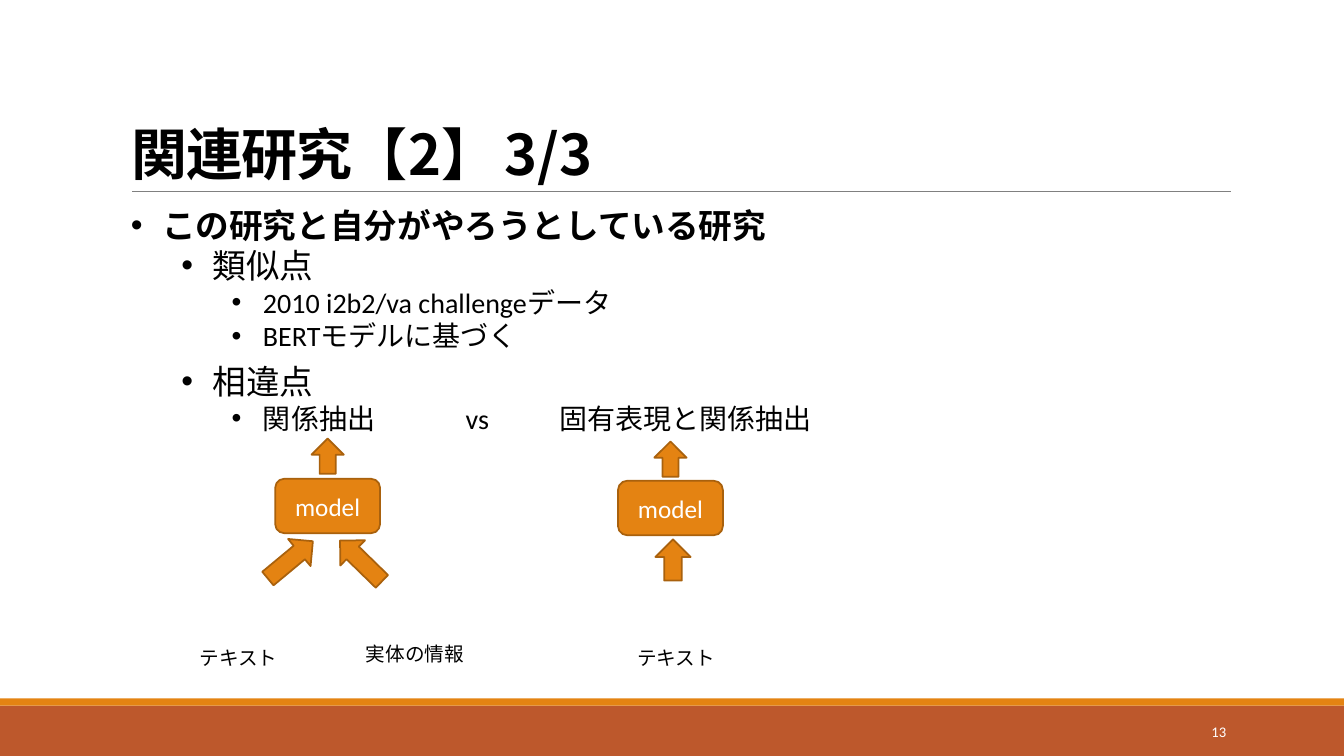
import dataclasses

import lxml.etree
import pptx
import pptx.dml.color
import pptx.enum.shapes
import pptx.enum.text
import pptx.oxml.ns
import pptx.util

PX = 9144  # 100 px to the inch
LATIN = "Calibri"
JAPANESE = "Noto Sans CJK JP"
BLACK, WHITE = "000000", "FFFFFF"
ORANGE, DARK_ORANGE, RUST, GRAY = "E48312", "A9610D", "BD582C", "808080"
KIND = pptx.enum.shapes.MSO_SHAPE
ALIGN = pptx.enum.text.PP_ALIGN
ANCHOR = pptx.enum.text.MSO_ANCHOR
FIT = pptx.enum.text.MSO_AUTO_SIZE


@dataclasses.dataclass
class Bullet:
    text: str
    level: int
    size: int
    bold: bool = False
    after: int = 0
    tabs: tuple[int, ...] = ()


@dataclasses.dataclass
class Node:
    kind: int
    left: int
    top: int
    width: int
    height: int
    turn: float = 0
    text: str = ""


@dataclasses.dataclass
class Label:
    text: str
    left: int
    top: int
    width: int
    height: int
    size: float = 14
    font: str = JAPANESE
    color: str = BLACK
    align: int = ALIGN.LEFT
    anchor: int = ANCHOR.TOP


BULLETS = [
    Bullet("この研究と自分がやろうとしている研究", 0, 24, bold=True),
    Bullet("類似点", 1, 24),
    Bullet("2010 i2b2/va challengeデータ", 2, 20),
    Bullet("BERTモデルに基づく", 2, 20, after=6),
    Bullet("相違点", 1, 24),
    Bullet("関係抽出\tvs\t固有表現と関係抽出", 2, 20, tabs=(332, 425)),
]
NODES = [
    Node(KIND.ROUNDED_RECTANGLE, 273, 475, 104, 54, text="model"),
    Node(KIND.RIGHT_ARROW, 259, 538, 58, 35, 320.3),
    Node(KIND.RIGHT_ARROW, 329, 539, 58, 35, 224.3),
    Node(KIND.DOWN_ARROW, 309, 435, 32, 35, 180),
    Node(KIND.ROUNDED_RECTANGLE, 613, 477, 104, 54, text="model"),
    Node(KIND.RIGHT_ARROW, 647, 538, 41, 35, 270),
    Node(KIND.DOWN_ARROW, 649, 438, 32, 35, 180),
]
LABELS = [
    Label("テキスト", 188, 636, 108, 34),
    Label("実体の情報", 353, 632, 118, 34),
    Label("テキスト", 622, 636, 108, 34),
    Label("13", 1083, 706, 143, 40, 10.5, LATIN, WHITE, ALIGN.RIGHT, ANCHOR.MIDDLE),
]


def px(*lengths: int) -> list[pptx.util.Emu]:
    return [pptx.util.Emu(length * PX) for length in lengths]


def rgb(color: str) -> pptx.dml.color.RGBColor:
    return pptx.dml.color.RGBColor.from_string(color)


def add_span(para, text: str, size: float, color: str = BLACK,
             font: str = LATIN, bold: bool = False):
    span = para.add_run()
    span.text = text
    span.font.size = pptx.util.Pt(size)
    span.font.bold = bold
    span.font.color.rgb = rgb(color)
    span.font.name = font
    add_element(span.font._element, "a:ea", typeface=JAPANESE)
    return span


def add_element(parent, tag: str, **attributes: str):
    element = lxml.etree.SubElement(parent, pptx.oxml.ns.qn(tag))
    for name, value in attributes.items():
        element.set(name, value)
    return element


def add_bar(page, top: int, height: int, color: str) -> None:
    bar = page.shapes.add_shape(KIND.RECTANGLE, *px(0, top, 1333, height))
    bar.shadow.inherit = False
    bar.fill.solid()
    bar.fill.fore_color.rgb = rgb(color)
    bar.line.fill.background()


def add_rule(page) -> None:
    """Draw the thin line under the title."""
    rule = page.shapes.add_connector(
        pptx.enum.shapes.MSO_CONNECTOR.STRAIGHT, *px(131, 190, 1221, 190))
    rule.line.color.rgb = rgb(GRAY)
    rule.line.width = pptx.util.Pt(0.5)
    add_element(rule._element.spPr, "a:effectLst")


def fill_title(page) -> None:
    title = page.shapes.title
    title.left, title.top, title.width, title.height = px(120, 31, 1100, 159)
    frame = title.text_frame
    frame.auto_size = FIT.NONE
    frame.vertical_anchor = ANCHOR.BOTTOM
    para = frame.paragraphs[0]
    para.alignment = ALIGN.LEFT
    para.line_spacing = 0.85
    heading = add_span(para, "関連研究【2】", 40, font=JAPANESE, bold=True)
    heading.font._element.set("spc", "-50")
    add_span(para, " ", 24, font=JAPANESE, bold=True)
    add_span(para, "3/3", 40, font=JAPANESE, bold=True)


def add_bullets(page, bullets: list[Bullet]) -> None:
    box = page.shapes.add_textbox(*px(120, 198, 1135, 241))
    frame = box.text_frame
    frame.word_wrap = True
    frame.auto_size = FIT.SHAPE_TO_FIT_TEXT
    for index, bullet in enumerate(bullets):
        para = frame.add_paragraph() if index else frame.paragraphs[0]
        para.level = bullet.level
        props = para._p.get_or_add_pPr()
        props.set("marL", str((31 + 50 * bullet.level) * PX))
        props.set("indent", str(-31 * PX))
        add_element(props, "a:buFont", typeface="Arial")
        add_element(props, "a:buChar", char="•")
        if bullet.tabs:
            stops = add_element(props, "a:tabLst")
            for stop in bullet.tabs:
                add_element(stops, "a:tab", pos=str(stop * PX), algn="l")
        para.space_after = pptx.util.Pt(bullet.after)
        for part, text in enumerate(bullet.text.split("\t")):
            add_span(para, "\t" * bool(part) + text, bullet.size, bold=bullet.bold)


def add_node(page, node: Node) -> None:
    shape = page.shapes.add_shape(
        node.kind, *px(node.left, node.top, node.width, node.height))
    shape.rotation = node.turn
    shape.shadow.inherit = False
    shape.fill.solid()
    shape.fill.fore_color.rgb = rgb(ORANGE)
    shape.line.color.rgb = rgb(DARK_ORANGE)
    shape.line.width = pptx.util.Pt(1.25)
    if node.text:
        shape.text_frame.vertical_anchor = ANCHOR.MIDDLE
        para = shape.text_frame.paragraphs[0]
        para.alignment = ALIGN.CENTER
        add_span(para, node.text, 18, WHITE)


def add_label(page, label: Label) -> None:
    box = page.shapes.add_textbox(
        *px(label.left, label.top, label.width, label.height))
    box.text_frame.word_wrap = True
    box.text_frame.vertical_anchor = label.anchor
    para = box.text_frame.paragraphs[0]
    para.alignment = label.align
    add_span(para, label.text, label.size, label.color, label.font)


def main() -> None:
    deck = pptx.Presentation()
    deck.slide_width, deck.slide_height = px(1333, 750)
    page = deck.slides.add_slide(deck.slide_layouts[5])
    add_bar(page, 700, 50, RUST)
    add_bar(page, 693, 7, ORANGE)
    add_rule(page)
    fill_title(page)
    add_bullets(page, BULLETS)
    for node in NODES:
        add_node(page, node)
    for label in LABELS:
        add_label(page, label)
    deck.save("out.pptx")


if __name__ == "__main__":
    main()
